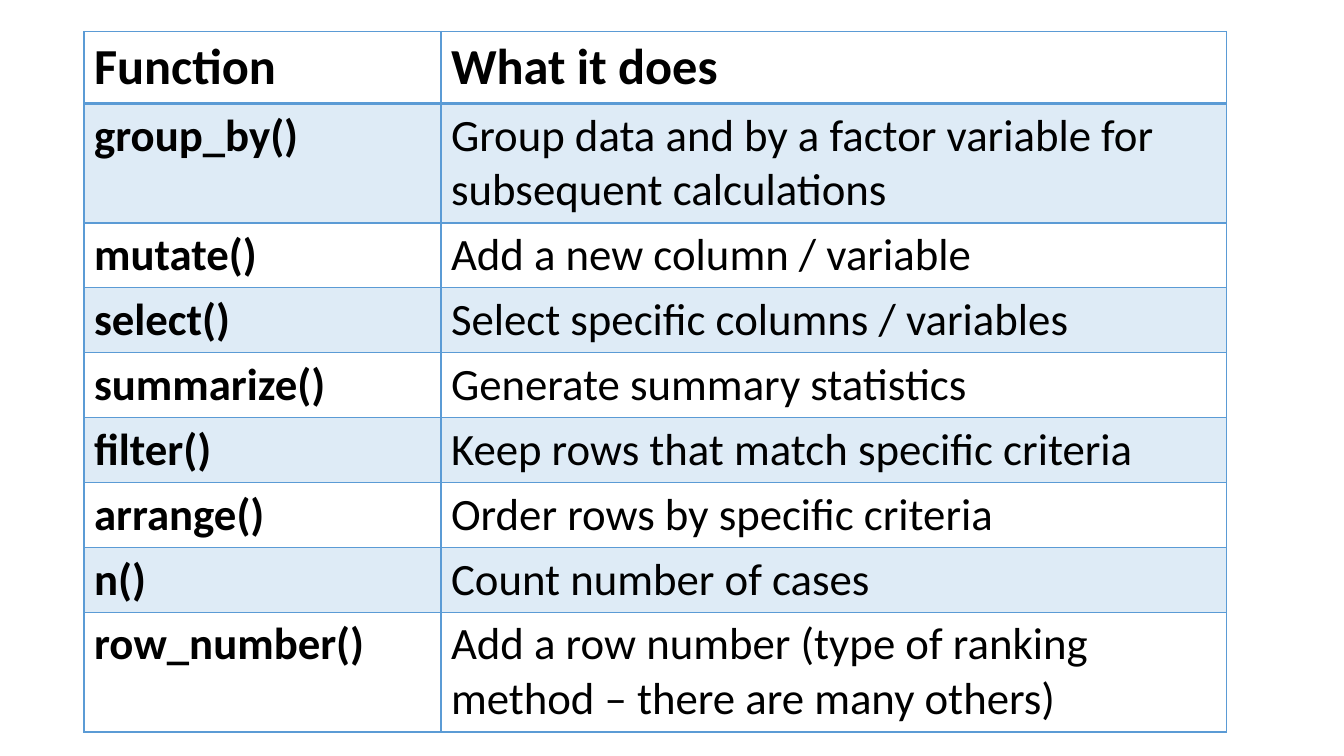
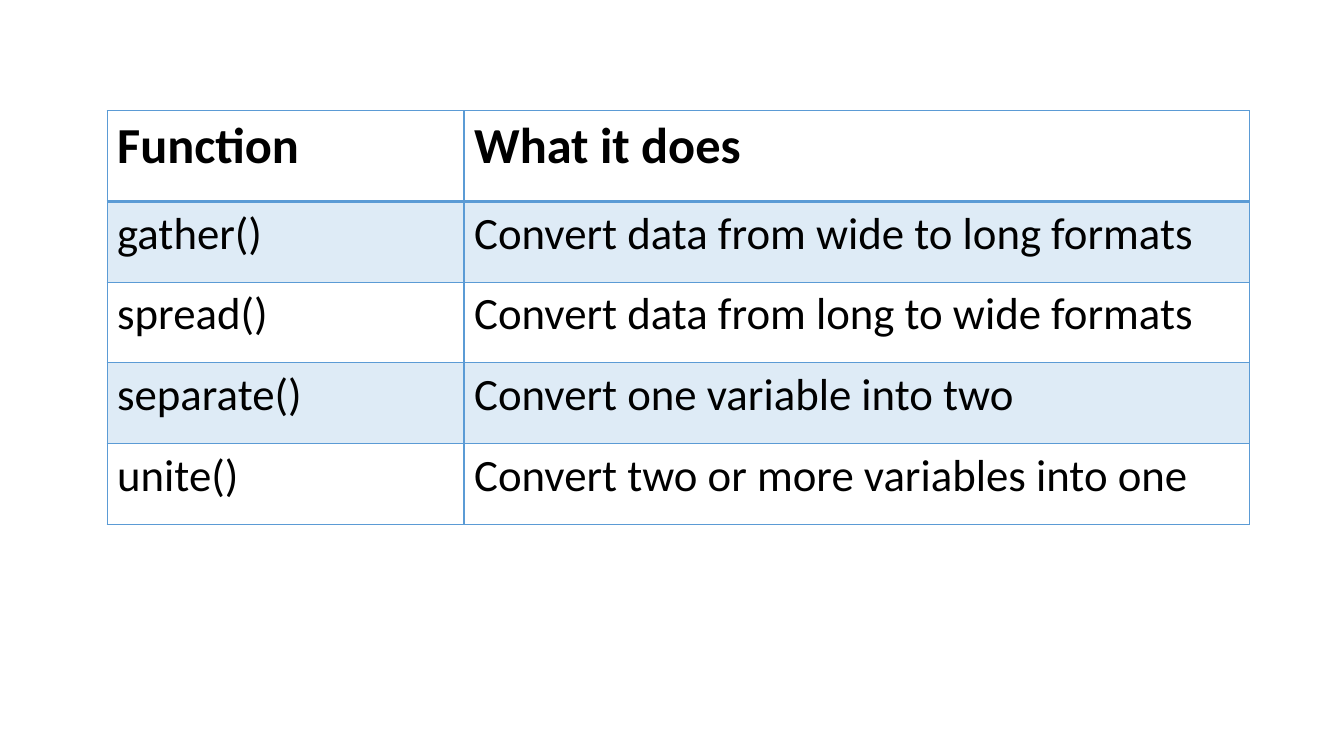
from lxml.etree import SubElement as Sub
from pptx import Presentation
from pptx.dml.color import RGBColor
from pptx.oxml.ns import qn
from pptx.util import Pt

BLUE = RGBColor(0x5B, 0x9B, 0xD5)
BLACK = RGBColor(0, 0, 0)
FONT = "Calibri"
HEAD = ("Function", "What it does")
WIDTHS = (255, 561)

# Left, top, row heights, bold function names, rows
TABLES = [
    (60, 22.5, [51, 85] + [46] * 6 + [85], True, [
        ("group_by()", "Group data and by a factor variable for subsequent calculations"),
        ("mutate()", "Add a new column / variable"),
        ("select()", "Select specific columns / variables"),
        ("summarize()", "Generate summary statistics"),
        ("filter()", "Keep rows that match specific criteria"),
        ("arrange()", "Order rows by specific criteria"),
        ("n()", "Count number of cases"),
        ("row_number()", "Add a row number (type of ranking method – there are many others)"),
    ]),
    (76.5, 79, [65] + [57.6] * 4, False, [
        ("gather()", "Convert data from wide to long formats"),
        ("spread()", "Convert data from long to wide formats"),
        ("separate()", "Convert one variable into two"),
        ("unite()", "Convert two or more variables into one"),
    ]),
]


def add_edge(cell, side, width):
    line = Sub(cell._tc.get_or_add_tcPr(), qn("a:ln" + side), w=str(Pt(width)))
    Sub(Sub(line, qn("a:solidFill")), qn("a:srgbClr"), val=str(BLUE))


def tint(cell):
    cell.fill.solid()
    cell.fill.fore_color.rgb = BLUE
    color = cell._tc.tcPr.find(qn("a:solidFill")).find(qn("a:srgbClr"))
    Sub(color, qn("a:alpha"), val="20000")


deck = Presentation()
deck.slide_width, deck.slide_height = Pt(960), Pt(540)

for left, top, heights, bold, rows in TABLES:
    slide = deck.slides.add_slide(deck.slide_layouts[6])
    frame = slide.shapes.add_table(len(heights), len(WIDTHS), Pt(left), Pt(top),
                                   Pt(sum(WIDTHS)), Pt(sum(heights)))
    table = frame.table

    # Grid
    for col, width in zip(table.columns, WIDTHS):
        col.width = Pt(width)
    for row, height in zip(table.rows, heights):
        row.height = Pt(height)

    # Cells
    for r, texts in enumerate([HEAD] + rows):
        for c, text in enumerate(texts):
            cell = table.cell(r, c)
            cell.text = text
            font = cell.text_frame.paragraphs[0].font
            font.name = FONT
            font.size = Pt(36 if r == 0 else 32)
            font.bold = r == 0 or (bold and c == 0)
            font.color.rgb = BLACK

            # Borders, with a heavier rule under the header
            for side in "LRTB":
                heavy = (r, side) in ((0, "B"), (1, "T"))
                add_edge(cell, side, 2 if heavy else 1)

            # Bands
            if r % 2:
                tint(cell)
            else:
                cell.fill.background()

deck.save("out.pptx")
